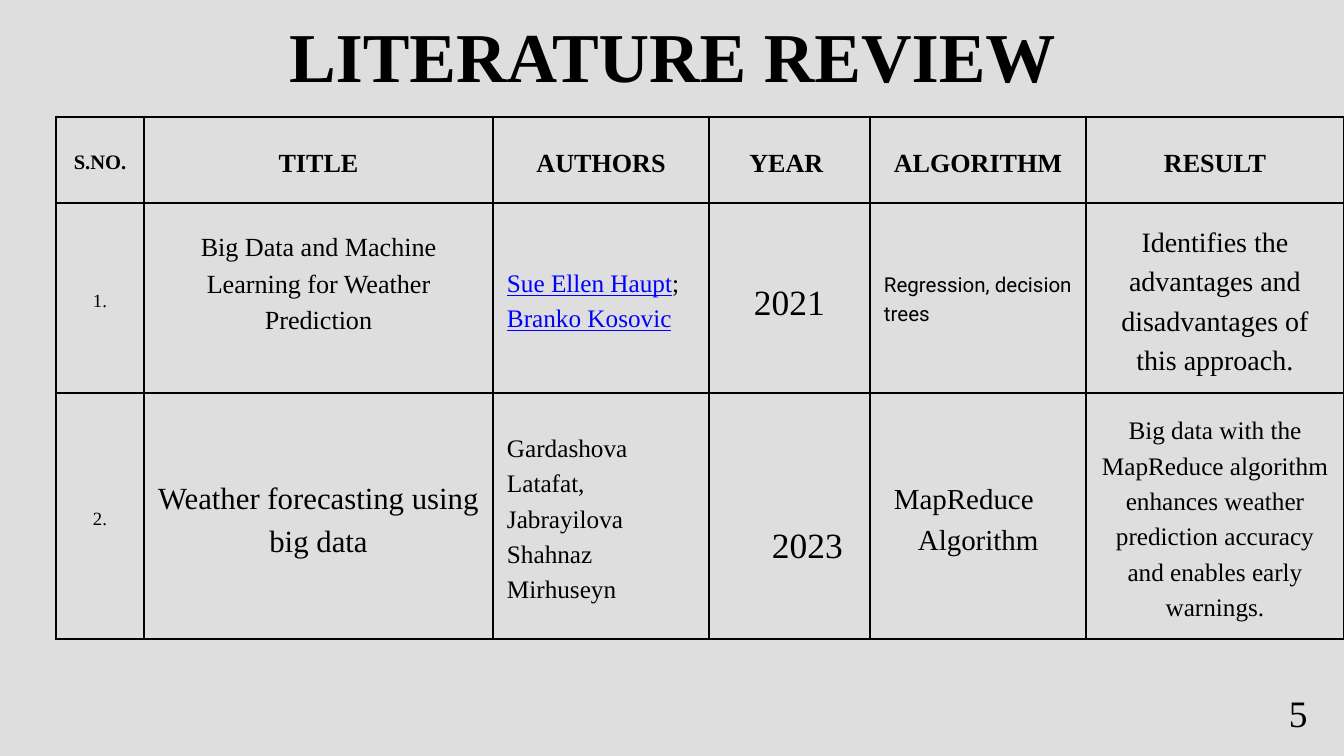
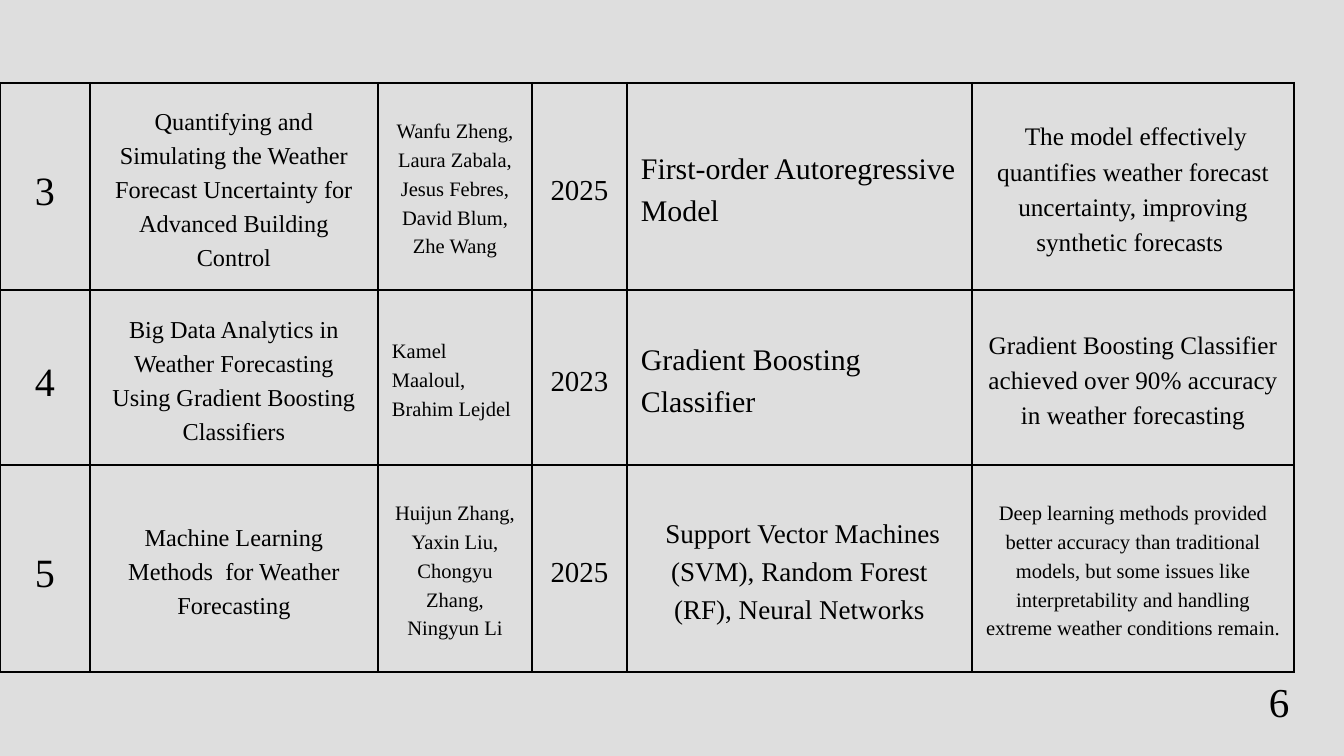
import pptx
import pptx.util
import pptx.dml.color
import pptx.enum.text
import pptx.oxml.ns
import lxml.etree

PX = 914400 / 67.2
SLIDE_SIZE = (1344, 756)
PAPER, INK, LINK = "DEDEDE", "000000", "0000FF"
SERIF, SANS = "Times New Roman", "Roboto"
LEADING = 1.4
INSET = 14
BORDER_POINTS = 3
LEFT = pptx.enum.text.PP_ALIGN.LEFT
CENTER = pptx.enum.text.PP_ALIGN.CENTER
MIDDLE = pptx.enum.text.MSO_ANCHOR.MIDDLE

AUTHOR_LINKS = [("Sue Ellen Haupt", True), ("; ", False), ("Branko Kosovic", True)]

SLIDES = [
    {
        "title": ("LITERATURE REVIEW", 75, (286, -1, 773, 106)),
        "number": ("5", 40, (1289, 683, 11, 22)),
        "corner": (56, 117),
        "columns": [88, 349, 216, 161, 216, 258],
        "rows": [86, 190, 246],
        "cells": [
            [
                ("S.NO.", 22, {"bold": True}),
                ("TITLE", 28, {"bold": True}),
                ("AUTHORS", 28, {"bold": True}),
                ("YEAR ", 28, {"bold": True}),
                ("ALGORITHM", 28, {"bold": True}),
                ("RESULT", 28, {"bold": True}),
            ],
            [
                ("1.", 20, {}),
                ("Big Data and Machine Learning for Weather Prediction", 28, {"extra_bottom": 35}),
                (AUTHOR_LINKS, 27, {"align": LEFT}),
                ("2021", 38, {}),
                ("Regression, decision trees", 22, {"align": LEFT, "face": SANS}),
                ("Identifies the advantages and disadvantages of this approach.", 30, {}),
            ],
            [
                ("2.", 20, {}),
                ("Weather forecasting using big data", 33, {}),
                ("Gardashova Latafat, Jabrayilova Shahnaz Mirhuseyn", 27, {"align": LEFT}),
                ("2023", 38, {"extra_left": 36, "extra_top": 50}),
                ("MapReduce Algorithm", 31, {"align": LEFT, "extra_left": 10, "hanging": 24}),
                ("Big data with the MapReduce algorithm enhances weather prediction "
                 "accuracy and enables early warnings.", 27, {}),
            ],
        ],
    },
    {
        "number": ("6", 44, (1269, 668, 11, 24)),
        "corner": (0, 83),
        "columns": [90, 288, 154, 95, 345, 322],
        "rows": [207, 175, 207],
        "cells": [
            [
                ("3", 43, {}),
                ("Quantifying and Simulating the Weather Forecast Uncertainty "
                 "for Advanced Building Control", 26, {}),
                ("Wanfu Zheng, Laura Zabala, Jesus Febres, David Blum, Zhe Wang", 22, {}),
                ("2025", 31, {}),
                ("First-order Autoregressive Model", 32, {"align": LEFT}),
                (" The model effectively quantifies weather forecast uncertainty, "
                 "improving synthetic forecasts ", 27, {}),
            ],
            [
                ("4", 43, {}),
                ("Big Data Analytics in Weather Forecasting Using Gradient "
                 "Boosting Classifiers", 26, {}),
                ("Kamel Maaloul, Brahim Lejdel", 22, {"align": LEFT}),
                ("2023", 31, {}),
                ("Gradient Boosting Classifier", 32, {"align": LEFT}),
                ("Gradient Boosting Classifier achieved over 90% accuracy in "
                 "weather forecasting", 27, {}),
            ],
            [
                ("5", 43, {}),
                ("Machine Learning Methods  for Weather Forecasting", 26, {}),
                ("Huijun Zhang, Yaxin Liu, Chongyu Zhang, Ningyun Li", 22, {}),
                ("2025", 31, {}),
                (" Support Vector Machines (SVM), Random Forest (RF), Neural Networks", 29, {}),
                ("Deep learning methods provided better accuracy than traditional "
                 "models, but some issues like interpretability and handling extreme "
                 "weather conditions remain.", 22, {}),
            ],
        ],
    },
]


def px(length):
    return pptx.util.Emu(round(length * PX))


def color(value):
    return pptx.dml.color.RGBColor.from_string(value)


def write(paragraph, text, size, align=CENTER, face=SERIF, bold=False, hanging=0):
    paragraph.alignment = align
    paragraph.line_spacing = pptx.util.Pt(size * LEADING)
    paragraph.font.name = face
    paragraph.font.size = pptx.util.Pt(size)
    paragraph.font.bold = bold
    paragraph.font.color.rgb = color(INK)
    if hanging:
        properties = paragraph._p.get_or_add_pPr()
        properties.set("marL", str(px(hanging)))
        properties.set("indent", str(-px(hanging)))
    pieces = [(text, False)] if isinstance(text, str) else text
    for piece, linked in pieces:
        span = paragraph.add_run()
        span.text = piece
        if linked:
            span.font.color.rgb = color(LINK)
            span.font.underline = True


def add_text(page, text, size, place, bold=False, wrap=True):
    box = page.shapes.add_textbox(*map(px, place))
    frame = box.text_frame
    frame.margin_left = frame.margin_right = frame.margin_top = frame.margin_bottom = 0
    frame.word_wrap = wrap
    frame.auto_size = pptx.enum.text.MSO_AUTO_SIZE.SHAPE_TO_FIT_TEXT
    write(frame.paragraphs[0], text, size, bold=bold)


def draw_borders(cell):
    properties = cell._tc.get_or_add_tcPr()
    name = pptx.oxml.ns.qn
    for position, side in enumerate(("a:lnL", "a:lnR", "a:lnT", "a:lnB")):
        line = lxml.etree.Element(name(side), w=str(pptx.util.Pt(BORDER_POINTS)))
        fill = lxml.etree.SubElement(line, name("a:solidFill"))
        lxml.etree.SubElement(fill, name("a:srgbClr"), val=INK)
        properties.insert(position, line)


def fill_cell(cell, text, size, extra_left=0, extra_top=0, extra_bottom=0, **style):
    cell.fill.background()
    cell.vertical_anchor = MIDDLE
    cell.margin_left = px(INSET + extra_left)
    cell.margin_right = px(INSET)
    cell.margin_top = px(INSET + extra_top)
    cell.margin_bottom = px(INSET + extra_bottom)
    draw_borders(cell)
    write(cell.text_frame.paragraphs[0], text, size, **style)


def add_review_table(page, corner, columns, rows, cells):
    place = (*corner, sum(columns), sum(rows))
    table = page.shapes.add_table(len(rows), len(columns), *map(px, place)).table
    table.first_row = table.horz_banding = False
    for column, width in zip(table.columns, columns):
        column.width = px(width)
    for row, height, entries in zip(table.rows, rows, cells):
        row.height = px(height)
        for cell, (text, size, style) in zip(row.cells, entries):
            fill_cell(cell, text, size, **style)


def main():
    deck = pptx.Presentation()
    deck.slide_width, deck.slide_height = map(px, SLIDE_SIZE)
    for content in SLIDES:
        page = deck.slides.add_slide(deck.slide_layouts[6])
        page.background.fill.solid()
        page.background.fill.fore_color.rgb = color(PAPER)
        add_review_table(page, content["corner"], content["columns"],
                         content["rows"], content["cells"])
        if "title" in content:
            add_text(page, *content["title"], bold=True)
        add_text(page, *content["number"], wrap=False)
    deck.save("out.pptx")


if __name__ == "__main__":
    main()
